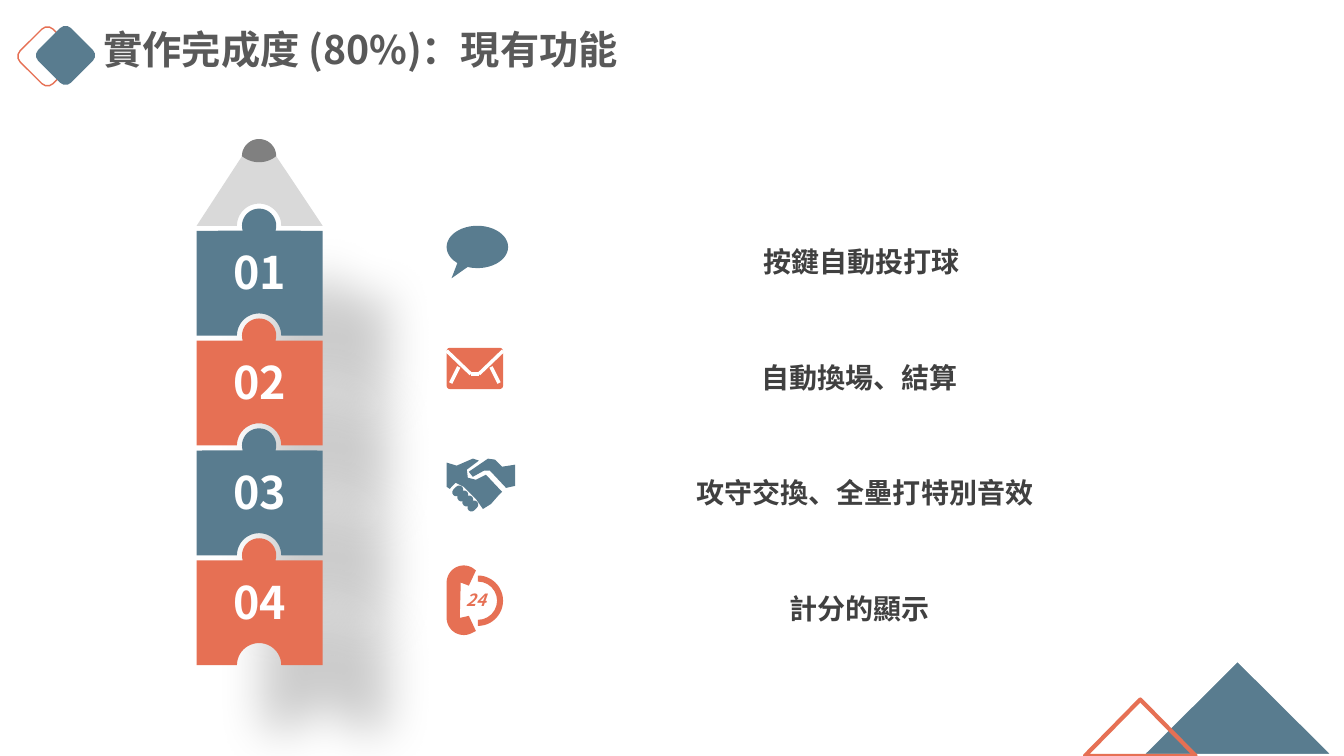
import math

import pptx
import pptx.dml.color
import pptx.enum.shapes
import pptx.enum.text
import pptx.oxml
import pptx.oxml.ns
import pptx.util
from pptx.util import Inches

THEME = {
    "font": "Noto Sans CJK SC",
    "blue": "597C8F", "orange": "E67054", "white": "FFFFFF",
    "wood": "D9D9D9", "lead": "808080", "title": "595959", "label": "404040",
    "title_size": 28, "number_size": 32, "label_size": 20, "hotline_size": 12,
}
ALIGN = pptx.enum.text.PP_ALIGN
ANCHOR = pptx.enum.text.MSO_ANCHOR
SHAPE = pptx.enum.shapes.MSO_SHAPE
rgb = pptx.dml.color.RGBColor.from_string
qn = pptx.oxml.ns.qn
namespace = pptx.oxml.ns.nsdecls("a")

presentation = pptx.Presentation()
presentation.slide_width = Inches(13.33)
presentation.slide_height = Inches(7.5)
slide = presentation.slides.add_slide(presentation.slide_layouts[6])


def write(text, box, role, color, frame_format, paragraph_format, italic=False):
    frame = slide.shapes.add_textbox(*map(Inches, box)).text_frame
    paragraph = frame.paragraphs[0]
    run = paragraph.add_run()
    run.text = text
    run.font.color.rgb = rgb(THEME[color])
    font_format = {"name": THEME["font"], "size": pptx.util.Pt(THEME[role + "_size"]),
                   "bold": True, "italic": italic}
    for target, values in ((frame, frame_format), (paragraph, paragraph_format), (run.font, font_format)):
        for name, value in values.items():
            setattr(target, name, value)
    east_asian = pptx.oxml.parse_xml(f'<a:ea {namespace} typeface="{THEME["font"]}"/>')
    run.font._element.find(qn("a:latin")).addnext(east_asian)


def draw_outline(parts, color):
    points = []
    for part in parts:
        if len(part) == 2:
            points.append(part)
            continue
        x, y, radius, start, end = part
        for step in range(25):
            angle = math.radians(start + (end - start) * step / 24)
            points.append((x + radius * math.cos(angle), y + radius * math.sin(angle)))
    points = [(Inches(x), Inches(y)) for x, y in points]
    builder = slide.shapes.build_freeform(*points[0], scale=1.0)
    builder.add_line_segments(points[1:], close=True)
    outline = builder.convert_to_shape()
    outline.shadow.inherit = False
    outline.fill.solid()
    outline.fill.fore_color.rgb = rgb(THEME[color])
    outline.line.fill.background()
    return outline


presets = [
    (SHAPE.ROUNDED_RECTANGLE, (0.24, 0.33, 0.46, 0.46), 45, None, "orange", 1, ()),
    (SHAPE.ROUNDED_RECTANGLE, (0.42, 0.32, 0.46, 0.46), 45, "blue", None, 0, ()),
    (SHAPE.ISOSCELES_TRIANGLE, (11.31, 6.54, 1.93, 0.96), 0, "blue", "white", 3, ()),
    (SHAPE.ISOSCELES_TRIANGLE, (10.76, 6.94, 1.1, 0.56), 0, None, "orange", 3, ()),
    (SHAPE.OVAL_CALLOUT, (4.43, 2.24, 0.61, 0.42), 0, "blue", None, 0, (-0.42, 0.74)),
    (SHAPE.ROUNDED_RECTANGLE, (4.43, 3.45, 0.56, 0.41), 0, "orange", None, 0, (0.08,)),
    (SHAPE.BLOCK_ARC, (4.49, 5.71, 0.5, 0.5), 0, "orange", None, 0, (162, 54, 0.12)),
]
for finger in range(4):
    box = (4.48 + 0.05 * finger, 4.83 + 0.05 * finger, 0.12, 0.08)
    presets.append((SHAPE.ROUNDED_RECTANGLE, box, -45, "blue", None, 0, (0.5,)))
for kind, box, rotation, fill, edge, weight, adjustments in presets:
    preset = slide.shapes.add_shape(kind, *map(Inches, box))
    preset.rotation = rotation
    preset.shadow.inherit = False
    for index, adjustment in enumerate(adjustments):
        preset.adjustments[index] = adjustment
    for paint, color in ((preset.fill, fill), (preset.line.fill, edge)):
        if color:
            paint.solid()
            paint.fore_color.rgb = rgb(THEME[color])
        else:
            paint.background()
    if edge:
        preset.line.width = pptx.util.Pt(weight)

flap = [(4.43, 3.48), (4.67, 3.71), (4.75, 3.71), (4.99, 3.48)]
folds = list(zip(flap, flap[1:])) + [((4.55, 3.64), (4.47, 3.8)), ((4.87, 3.64), (4.95, 3.8))]
for start, end in folds:
    fold = slide.shapes.add_connector(pptx.enum.shapes.MSO_CONNECTOR.STRAIGHT, *map(Inches, start + end))
    fold.line.color.rgb = rgb(THEME["white"])
    fold.line.width = pptx.util.Pt(2.5)
    fold._element.spPr.append(pptx.oxml.parse_xml(f"<a:effectLst {namespace}/>"))

right_hand = [(5.11, 4.61), (5.11, 4.82), (5.02, 4.84), (4.86, 4.67), (4.8, 4.67),
              (4.69, 4.73), (4.65, 4.68), (4.84, 4.55), (4.91, 4.56), (4.98, 4.63)]
left_hand = [(4.43, 4.59), (4.53, 4.62), (4.69, 4.55), (4.75, 4.57), (4.63, 4.66), (4.64, 4.74),
             (4.72, 4.76), (4.82, 4.71), (4.98, 4.88), (4.94, 4.92), (4.87, 5), (4.79, 5.05),
             (4.72, 4.95), (4.6, 4.83), (4.52, 4.79), (4.46, 4.85), (4.43, 4.83)]
handset = [(4.6, 5.78, 0.17, 180, 300), (4.72, 5.66), (4.65, 5.81), (4.57, 5.78), (4.56, 6.13),
           (4.65, 6.11), (4.72, 6.26), (4.6, 6.13, 0.17, 60, 180)]
for icon, color in ((right_hand, "blue"), (left_hand, "blue"), (handset, "orange")):
    draw_outline(icon, color)

write("實作完成度 (80%)：現有功能", (0.93, 0.27, 5.4, 0.57), "title", "title", {"word_wrap": True},
      {"line_spacing": 0.85})

axis = 2.57
for piece in range(5):
    base = 2.24 + 1.09 * piece
    top = base - 1.04
    socket = [(1.95, base), (axis, base, 0.22, 180, 360), (3.2, base)]
    if piece == 0:
        draw_outline(socket + [(2.74, 1.55), (2.4, 1.55)], "wood")
        draw_outline([(axis, 1.55, 0.17, 180, 360), (axis, 1.34, 0.27, 51, 129)], "lead")
        continue
    block = draw_outline(socket + [(3.2, top), (axis, top - 0.05, 0.17, 377, 163), (1.95, top)],
                         "blue" if piece % 2 else "orange")
    block._element.spPr.find(qn("a:effectLst")).append(pptx.oxml.parse_xml(
        f'<a:outerShdw {namespace} blurRad="{pptx.util.Pt(33)}" dist="{pptx.util.Pt(66)}" '
        'dir="2700000" algn="tl" rotWithShape="0">'
        '<a:srgbClr val="000000"><a:alpha val="20000"/></a:srgbClr></a:outerShdw>'))
    write(f"{piece:02}", (2.21, top + 0.09, 0.73, 0.64), "number", "white",
          {"word_wrap": False}, {"alignment": ALIGN.CENTER})

compact_frame = {"word_wrap": False, "vertical_anchor": ANCHOR.MIDDLE, "margin_left": Inches(0.13),
                 "margin_right": Inches(0.13), "margin_top": 0, "margin_bottom": 0}
write("24", (4.49, 5.83, 0.46, 0.25), "hotline", "orange", compact_frame,
      {"alignment": ALIGN.CENTER}, italic=True)

features = [
    ("按鍵自動投打球", 7.44, 2.23),
    ("自動換場、結算", 7.42, 2.23),
    ("攻守交換、全壘打特別音效", 6.78, 3.64),
    ("計分的顯示", 7.7, 1.67),
]
for row, (feature, left, width) in enumerate(features):
    write(feature, (left, 2.28 + 1.15 * row, width, 0.45), "label", "label", compact_frame,
          {"alignment": ALIGN.JUSTIFY, "line_spacing": 1.5})

presentation.save("out.pptx")
